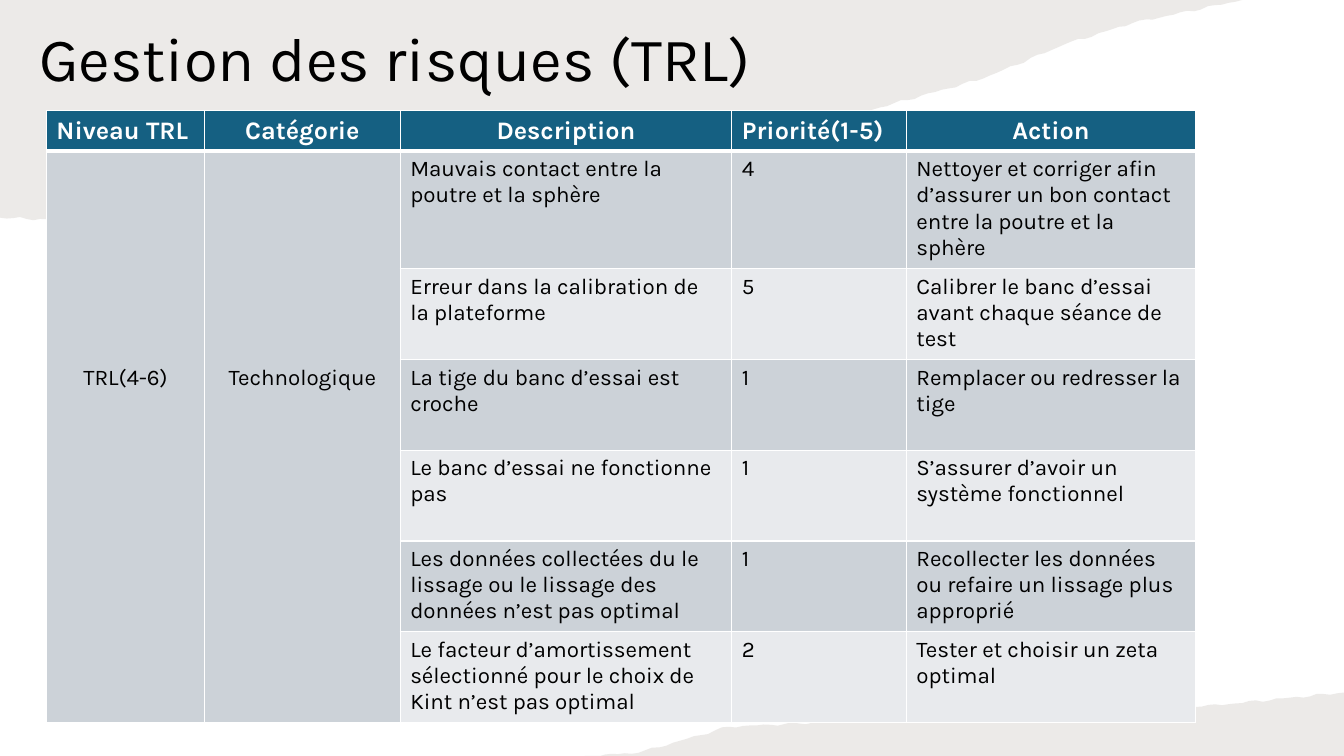
from dataclasses import dataclass
from itertools import pairwise
from math import ceil, sin
from typing import NamedTuple

from lxml.etree import SubElement
from pptx import Presentation
from pptx.dml.color import RGBColor as Rgb
from pptx.enum.text import MSO_ANCHOR as Anchor, PP_ALIGN as Align
from pptx.oxml.ns import qn
from pptx.slide import Slide
from pptx.table import Table, _Cell as Cell
from pptx.text.text import _Paragraph as Paragraph
from pptx.util import Inches, Pt

Points = list[tuple[float, float]]


@dataclass(frozen=True)
class Theme:
    font: str = "Karla"
    ink: str = "000000"
    white: str = "FFFFFF"
    header: str = "156082"
    bands: tuple[str, str] = ("CCD2D8", "E8EAED")
    paper: str = "82766A"
    paper_opacity: int = 15
    title_size: int = 44
    header_size: int = 18
    body_size: int = 16
    rule: float = 1
    header_rule: float = 3


class TornPaper(NamedTuple):
    """A sheet with straight corners and one torn edge that follows a few bends."""
    corners: Points
    bends: Points


class Column(NamedTuple):
    heading: str
    width: float
    align: Align


class Risk(NamedTuple):
    description: str
    priority: str
    action: str
    height: float = 0.9


THEME = Theme()
SLIDE_WIDTH, SLIDE_HEIGHT = 13.33, 7.5
TABLE_LEFT, TABLE_TOP = 0.46, 1.1
HEADER_HEIGHT = 0.38
GROUP_TOP_MARGIN = 2.12
TEAR_STEP, TEAR_DEPTH = 0.07, 0.015

PAPERS = [
    TornPaper(
        corners=[(0, 0)],
        bends=[(12.32, 0), (11.23, 0.23), (10.56, 0.44), (9.75, 0.78), (8.39, 1.16), (7.36, 1.55),
               (6.72, 1.8), (5.64, 1.92), (4.82, 2.08), (2.75, 1.93), (1.79, 2.06), (0.53, 2.18),
               (0, 2.16)],
    ),
    TornPaper(
        corners=[(SLIDE_WIDTH, SLIDE_HEIGHT)],
        bends=[(5.8, SLIDE_HEIGHT), (6.33, 7.47), (7.23, 7.21), (8.06, 7.17), (9.1, 7.04),
               (10.72, 6.93), (11.92, 7.01), (SLIDE_WIDTH, 6.87)],
    ),
]
COLUMNS = [
    Column("Niveau TRL", 1.57, Align.LEFT),
    Column("Catégorie", 1.94, Align.CENTER),
    Column("Description", 3.29, Align.CENTER),
    Column("Priorité(1-5)", 1.73, Align.LEFT),
    Column("Action", 2.87, Align.CENTER),
]
GROUP_LABELS = ["TRL(4-6)", "Technologique"]
RISKS = [
    Risk("Mauvais contact entre la poutre et la sphère", "4",
         "Nettoyer et corriger afin d’assurer un bon contact entre la poutre et la sphère", 1.12),
    Risk("Erreur dans la calibration de la plateforme", "5",
         "Calibrer le banc d’essai avant chaque séance de test"),
    Risk("La tige du banc d’essai est croche", "1", "Remplacer ou redresser la tige"),
    Risk("Le banc d’essai ne fonctionne pas", "1", "S’assurer d’avoir un système fonctionnel"),
    Risk("Les données collectées du le lissage ou le lissage des données n’est pas optimal", "1",
         "Recollecter les données ou refaire un lissage plus approprié"),
    Risk("Le facteur d’amortissement sélectionné pour le choix de Kint n’est pas optimal", "2",
         "Tester et choisir un zeta optimal"),
]


def torn_edge(bends: Points) -> Points:
    """Join the bends by short steps, each nudged up or down by a fixed ripple."""
    edge = [bends[0]]
    for (x0, y0), (x1, y1) in pairwise(bends):
        steps = ceil(abs(x1 - x0) / TEAR_STEP)
        for step in range(1, steps):
            x = x0 + (x1 - x0) * step / steps
            ripple = TEAR_DEPTH * sin(23 * x) * sin(41 * x)
            edge.append((x, y0 + (y1 - y0) * step / steps + ripple))
        edge.append((x1, y1))
    return edge


def draw_torn_paper(slide: Slide, paper: TornPaper) -> None:
    outline = [(Inches(x), Inches(y)) for x, y in paper.corners + torn_edge(paper.bends)]
    builder = slide.shapes.build_freeform(*outline[0])
    builder.add_line_segments(outline[1:], close=True)
    sheet = builder.convert_to_shape()
    sheet.shadow.inherit = False
    sheet.line.fill.background()
    sheet.fill.solid()
    sheet.fill.fore_color.rgb = Rgb.from_string(THEME.paper)
    tint = sheet.fill._xPr.find(f".//{qn('a:srgbClr')}")
    SubElement(tint, qn("a:alpha"), val=str(THEME.paper_opacity * 1000))


def write(paragraph: Paragraph, text: str, size: int, color: str,
          align: Align = Align.LEFT, bold: bool = False) -> None:
    paragraph.text = text
    paragraph.alignment = align
    paragraph.font.name = THEME.font
    paragraph.font.size = Pt(size)
    paragraph.font.bold = bold
    paragraph.font.color.rgb = Rgb.from_string(color)


def draw_title(slide: Slide, text: str) -> None:
    frame = slide.shapes.add_textbox(Inches(0.29), Inches(0.04), Inches(12.14), Inches(1.14)).text_frame
    frame.word_wrap = True
    frame.vertical_anchor = Anchor.MIDDLE
    title = frame.paragraphs[0]
    title.line_spacing = 0.9
    write(title, text, THEME.title_size, THEME.ink)


def style_cell(cell: Cell, fill: str, bottom_rule: float = THEME.rule) -> None:
    """Give the cell white borders and a solid fill; borders must precede the fill in the XML."""
    properties = cell._tc.get_or_add_tcPr()
    rules = {"a:lnL": THEME.rule, "a:lnR": THEME.rule, "a:lnT": THEME.rule, "a:lnB": bottom_rule}
    for side, width in rules.items():
        border = SubElement(properties, qn(side), w=str(Pt(width)))
        SubElement(SubElement(border, qn("a:solidFill")), qn("a:srgbClr"), val=THEME.white)
    cell.fill.solid()
    cell.fill.fore_color.rgb = Rgb.from_string(fill)


def fill_header(table: Table) -> None:
    table.rows[0].height = Inches(HEADER_HEIGHT)
    for index, column in enumerate(COLUMNS):
        table.columns[index].width = Inches(column.width)
        heading = table.cell(0, index)
        style_cell(heading, THEME.header, THEME.header_rule)
        write(heading.text_frame.paragraphs[0], column.heading, THEME.header_size, THEME.white,
              column.align, bold=True)


def fill_risks(table: Table) -> None:
    for row, risk in enumerate(RISKS, start=1):
        table.rows[row].height = Inches(risk.height)
        band = THEME.bands[(row - 1) % len(THEME.bands)]
        details = (risk.description, risk.priority, risk.action)
        for index, detail in enumerate(details, start=len(GROUP_LABELS)):
            cell = table.cell(row, index)
            style_cell(cell, band)
            write(cell.text_frame.paragraphs[0], detail, THEME.body_size, THEME.ink)


def fill_groups(table: Table) -> None:
    """Merge each leading column over all risks and label it once."""
    for index, label in enumerate(GROUP_LABELS):
        for row in range(1, len(RISKS) + 1):
            style_cell(table.cell(row, index), THEME.bands[0])
        group = table.cell(1, index)
        group.merge(table.cell(len(RISKS), index))
        group.margin_top = Inches(GROUP_TOP_MARGIN)
        write(group.text_frame.paragraphs[0], label, THEME.body_size, THEME.ink, Align.CENTER)


def draw_risk_table(slide: Slide) -> None:
    width = sum(column.width for column in COLUMNS)
    height = HEADER_HEIGHT + sum(risk.height for risk in RISKS)
    table = slide.shapes.add_table(len(RISKS) + 1, len(COLUMNS), Inches(TABLE_LEFT),
                                   Inches(TABLE_TOP), Inches(width), Inches(height)).table
    fill_header(table)
    fill_risks(table)
    fill_groups(table)


def main() -> None:
    deck = Presentation()
    deck.slide_width, deck.slide_height = Inches(SLIDE_WIDTH), Inches(SLIDE_HEIGHT)
    slide = deck.slides.add_slide(deck.slide_layouts[6])
    for paper in PAPERS:
        draw_torn_paper(slide, paper)
    draw_title(slide, "Gestion des risques (TRL)")
    draw_risk_table(slide)
    deck.save("out.pptx")


if __name__ == "__main__":
    main()
